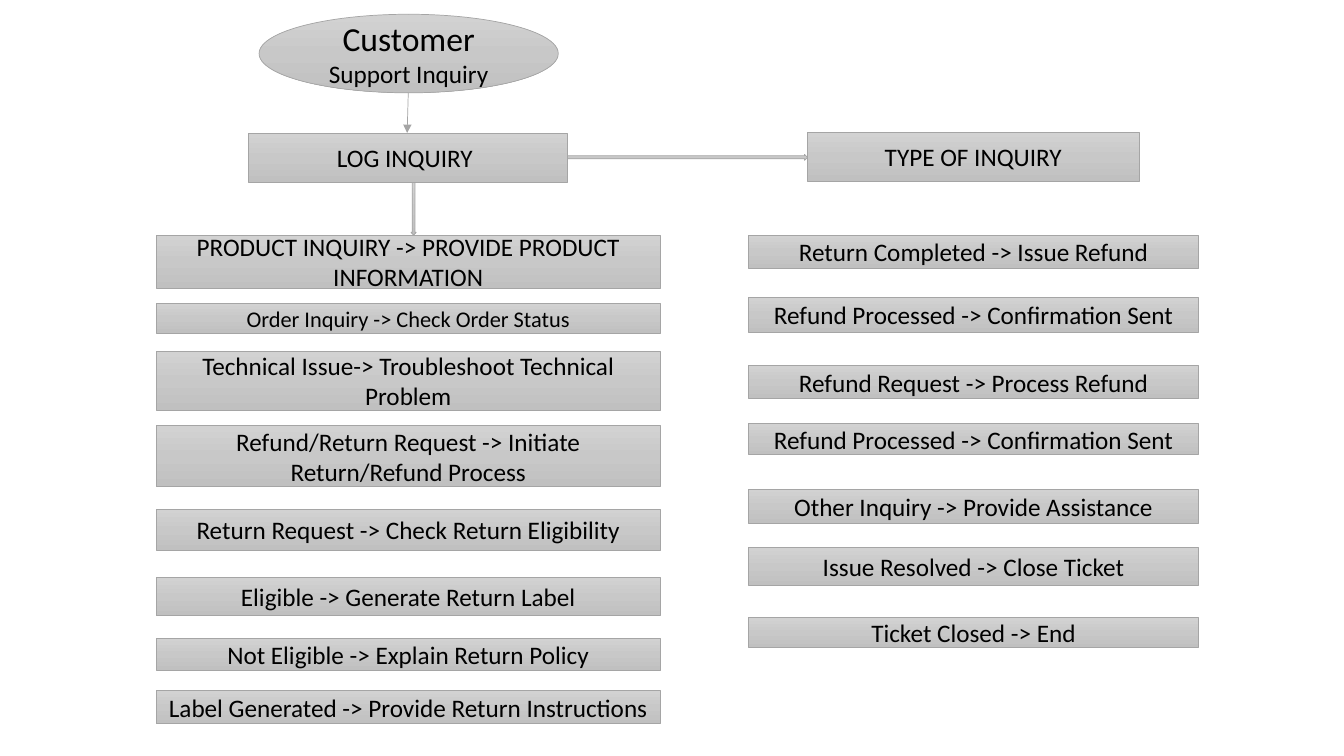
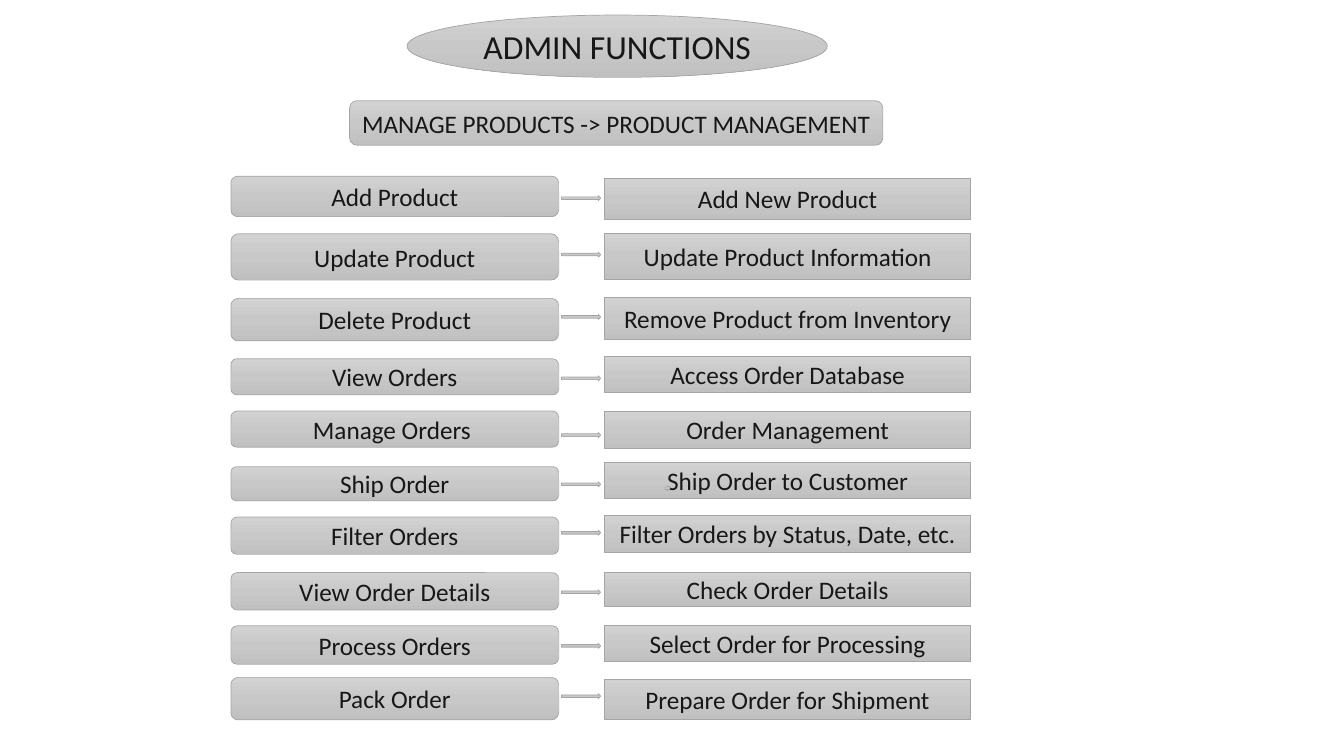
from copy import deepcopy

from lxml.etree import SubElement
from pptx import Presentation
from pptx.dml.color import RGBColor
from pptx.enum.shapes import MSO_CONNECTOR, MSO_SHAPE
from pptx.enum.text import MSO_ANCHOR, PP_ALIGN
from pptx.oxml.ns import qn
from pptx.util import Cm, Pt


def color(hex_code):
    return RGBColor.from_string(hex_code)


class Flowchart:
    """Holds the shared style and the slide being drawn."""

    FONT = "Calibri"
    OUTLINE = "A5A5A5"
    SHADES = ("D2D2D2", "C8C8C8", "C0C0C0")

    def __init__(self):
        self.deck = Presentation()
        self.deck.slide_width, self.deck.slide_height = Cm(33.87), Cm(19.05)

    def new_slide(self, ink):
        self.slide = self.deck.slides.add_slide(self.deck.slide_layouts[6])
        self.ink = ink

    def figure(self, preset, left, top, width, height):
        """Add a preset shape with the grey gradient and thin outline."""
        shape = self.slide.shapes.add_shape(
            preset, Cm(left), Cm(top), Cm(width), Cm(height))
        shape.shadow.inherit = False
        shape.line.color.rgb = color(self.OUTLINE)
        shape.line.width = Pt(0.5)
        shape.fill.gradient()
        shape.fill.gradient_angle = 270
        first_stop = next(shape._element.spPr.iter(qn("a:gs")))
        first_stop.addnext(deepcopy(first_stop))
        for index, (stop, shade) in enumerate(zip(shape.fill.gradient_stops, self.SHADES)):
            stop.position = index / 2
            stop.color.rgb = color(shade)
        return shape

    def step(self, preset, left, top, width, height, text, size=18):
        """Add a labelled figure and return its paragraph."""
        frame = self.figure(preset, left, top, width, height).text_frame
        frame.word_wrap = True
        frame.vertical_anchor = MSO_ANCHOR.MIDDLE
        label = frame.paragraphs[0]
        label.text = text
        label.alignment = PP_ALIGN.CENTER
        label.font.name = self.FONT
        label.font.size = Pt(size)
        label.font.color.rgb = color(self.ink)
        return label

    def arrow_line(self, x1, y1, x2, y2):
        connector = self.slide.shapes.add_connector(
            MSO_CONNECTOR.STRAIGHT, Cm(x1), Cm(y1), Cm(x2), Cm(y2))
        connector.line.color.rgb = color(self.OUTLINE)
        connector.line.width = Pt(0.5)
        SubElement(connector.line._get_or_add_ln(), qn("a:tailEnd"), type="triangle")
        SubElement(connector._element.spPr, qn("a:effectLst"))


# Text, top, height, text size
INQUIRIES = [
    ("PRODUCT INQUIRY -> PROVIDE PRODUCT INFORMATION", 5.92, 1.35, 18),
    ("Order Inquiry -> Check Order Status", 7.65, 0.74, 16),
    ("Technical Issue-> Troubleshoot Technical Problem", 8.86, 1.47, 18),
    ("Refund/Return Request -> Initiate Return/Refund Process", 10.72, 1.55, 18),
    ("Return Request -> Check Return Eligibility", 12.83, 1.04, 18),
    ("Eligible -> Generate Return Label", 14.55, 0.97, 18),
    ("Not Eligible -> Explain Return Policy", 16.08, 0.81, 18),
    ("Label Generated -> Provide Return Instructions", 17.4, 0.84, 18),
]
OUTCOMES = [
    ("Return Completed -> Issue Refund", 5.92, 0.84, 18),
    ("Refund Processed -> Confirmation Sent", 7.49, 0.89, 18),
    ("Refund Request -> Process Refund", 9.22, 0.81, 18),
    ("Refund Processed -> Confirmation Sent", 10.67, 0.79, 18),
    ("Other Inquiry -> Provide Assistance", 12.32, 0.86, 18),
    ("Issue Resolved -> Close Ticket", 13.79, 0.97, 18),
    ("Ticket Closed -> End", 15.57, 0.74, 18),
]
# Function, top, height; action, top, height; arrow top
ADMIN_ROWS = [
    ("Add Product", 4.44, 1.02, "Add New Product", 4.5, 1.02, 4.93),
    ("Update Product", 5.89, 1.17, "Update Product Information", 5.87, 1.17, 6.35),
    ("Delete Product", 7.52, 1.07, "Remove Product from Inventory", 7.49, 1.07, 7.92),
    ("View Orders", 9.04, 0.91, "Access Order Database", 8.99, 0.91, 9.47),
    ("Manage Orders ", 10.36, 0.91, "Order Management", 10.36, 0.94, 10.9),
    ("Ship Order", 11.76, 0.86, "Ship Order to Customer", 11.66, 0.91, 12.14),
    ("Filter Orders", 13.03, 0.94, "Filter Orders by Status, Date, etc.", 12.98, 0.94, 13.36),
    ("View Order Details", 14.43, 0.94, "Check Order Details", 14.43, 0.86, 14.86),
    ("Process Orders", 15.77, 0.97, "Select Order for Processing", 15.77, 0.89, 16.21),
    ("Pack Order", 17.07, 1.07, "Prepare Order for Shipment", 17.12, 1.02, 17.48),
]


def support_slide(chart):
    chart.new_slide(ink="000000")
    start = chart.step(MSO_SHAPE.OVAL, 6.53, 0.36, 7.54, 1.98, "Customer", 24)
    subject = start.add_run()
    subject.text = " Support Inquiry"
    subject.font.size = Pt(18)
    chart.step(MSO_SHAPE.RECTANGLE, 6.25, 3.35, 8.05, 1.24, "LOG INQUIRY ")
    chart.step(MSO_SHAPE.RECTANGLE, 20.35, 3.33, 8.36, 1.24, "TYPE OF INQUIRY")
    for left, width, steps in ((3.94, 12.7, INQUIRIES), (18.87, 11.33, OUTCOMES)):
        for text, top, height, size in steps:
            chart.step(MSO_SHAPE.RECTANGLE, left, top, width, height, text, size)
    chart.figure(MSO_SHAPE.DOWN_ARROW, 10.36, 4.6, 0.13, 1.32)
    chart.figure(MSO_SHAPE.RIGHT_ARROW, 14.3, 3.89, 6.05, 0.15)
    chart.arrow_line(10.29, 2.34, 10.26, 3.35)


def admin_slide(chart):
    chart.new_slide(ink="181717")
    chart.step(MSO_SHAPE.OVAL, 10.26, 0.38, 10.59, 1.57, "ADMIN FUNCTIONS", 24)
    chart.step(MSO_SHAPE.ROUNDED_RECTANGLE, 8.81, 2.54, 13.44, 1.12,
               "MANAGE PRODUCTS -> PRODUCT MANAGEMENT")
    for function, top, height, action, action_top, action_height, arrow_top in ADMIN_ROWS:
        chart.step(MSO_SHAPE.ROUNDED_RECTANGLE, 5.82, top, 8.26, height, function)
        chart.step(MSO_SHAPE.RECTANGLE, 15.24, action_top, 9.22, action_height, action)
        chart.figure(MSO_SHAPE.RIGHT_ARROW, 14.15, arrow_top, 0.99, 0.13)
    chart.figure(MSO_SHAPE.RIGHT_ARROW, 16.76, 12.24, 0.13, 0.13)


def main():
    chart = Flowchart()
    support_slide(chart)
    admin_slide(chart)
    chart.deck.save("out.pptx")


if __name__ == "__main__":
    main()
